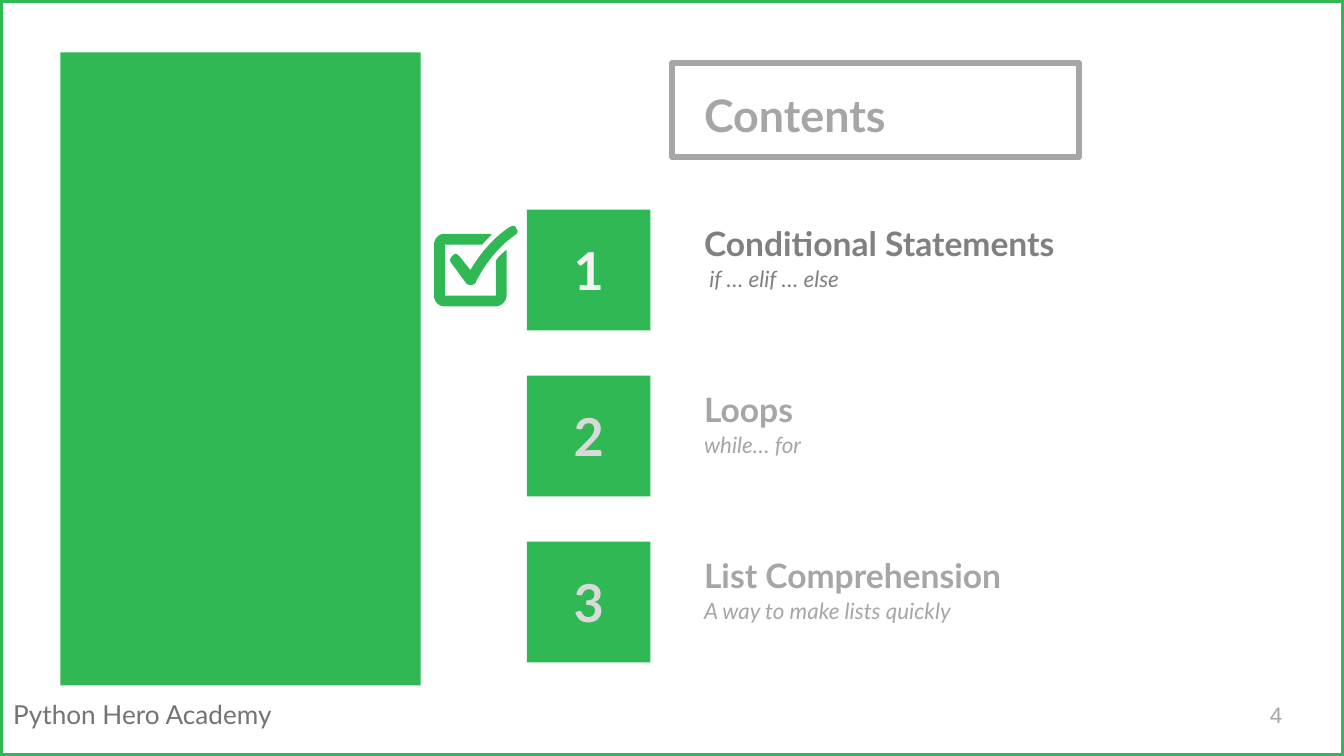
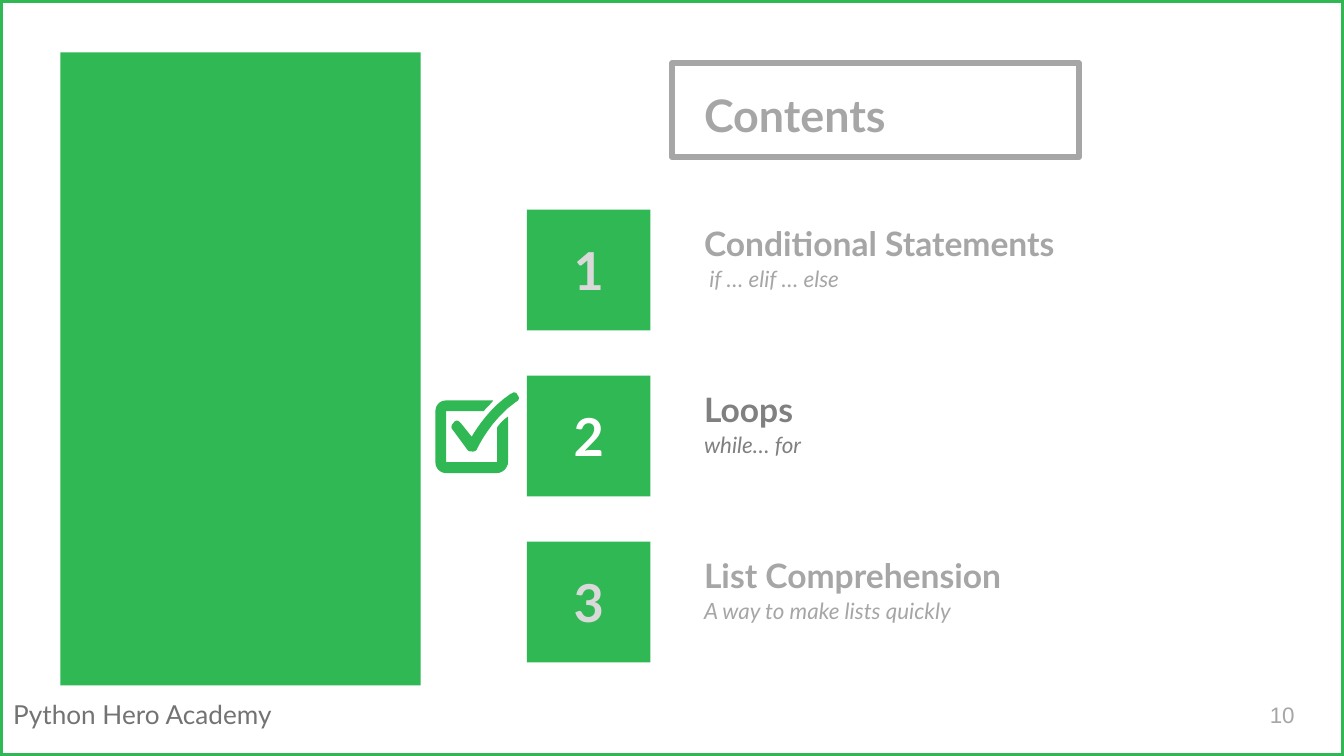
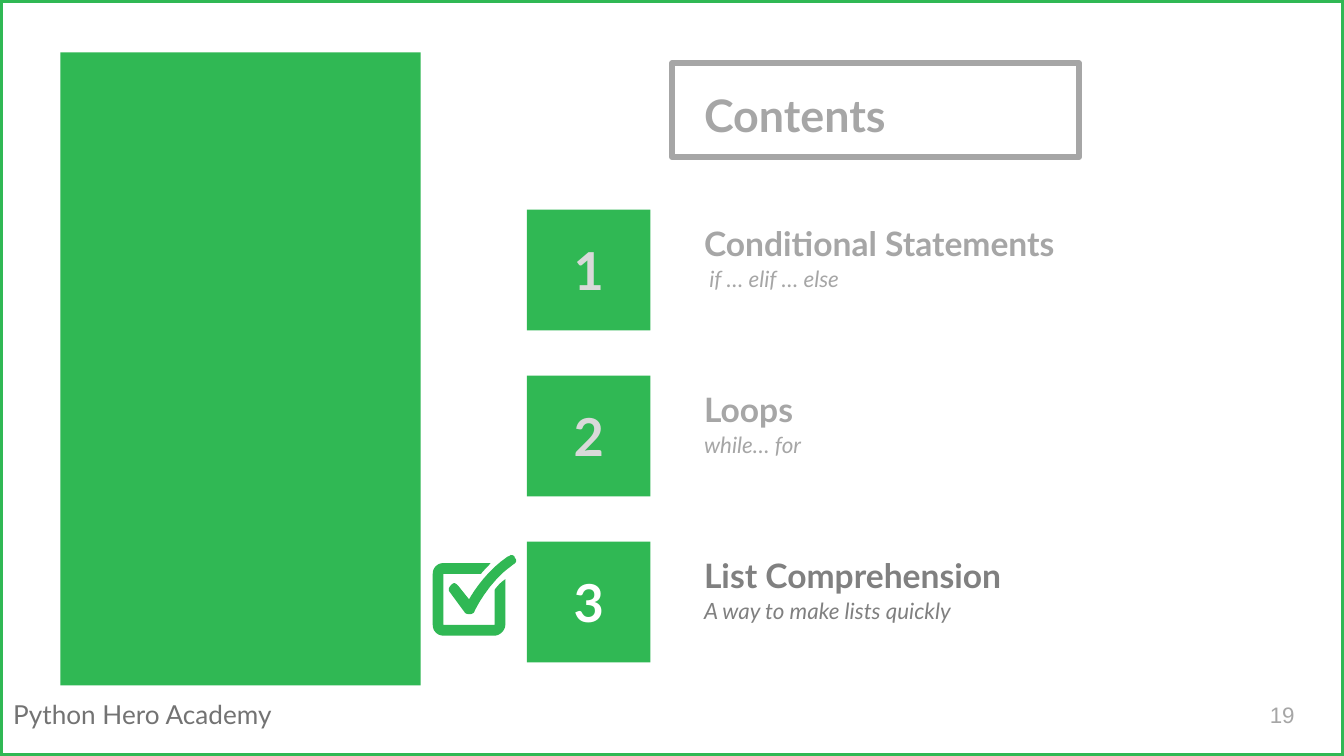
from dataclasses import dataclass, field
from typing import Any

from pptx import Presentation
from pptx.dml.color import RGBColor
from pptx.enum.shapes import MSO_SHAPE
from pptx.enum.text import MSO_ANCHOR as Anchor, MSO_AUTO_SIZE as AutoSize, PP_ALIGN as Align
from pptx.util import Inches, Pt

COLORS = {
    "green": "30B854",
    "footer": "737373",
    "muted": "A6A6A6",
    "active": "808080",
    "white": "FFFFFF",
    "soft_white": "F2F2F2",
    "dim_number": "D9D9D9",
}
SLIDE_WIDTH = 10
SLIDE_HEIGHT = SLIDE_WIDTH * 9 / 16
FIRST_ROW, LAST_ROW = 1.56, 4.03
CURVE_STEPS = 8


@dataclass(frozen=True)
class Panel:
    box: tuple[float, float, float, float]
    fill: str | None = None
    outline: str | None = None


@dataclass(frozen=True)
class Label:
    text: str
    box: tuple[float, float, float, float]
    color: str
    size: float
    font: dict[str, Any] = field(default_factory=dict)
    frame: dict[str, Any] = field(default_factory=dict)
    paragraph: dict[str, Any] = field(default_factory=dict)


@dataclass(frozen=True)
class Topic:
    heading: str
    summary: str


@dataclass(frozen=True)
class Agenda:
    page: str
    current: int
    number_color: str
    mark: tuple[float, float]


TOPICS = [
    Topic("Conditional Statements", " if … elif … else"),
    Topic("Loops", "while… for"),
    Topic("List Comprehension", "A way to make lists quickly"),
]
AGENDAS = [
    Agenda("4", 0, "soft_white", (3.23, 1.68)),
    Agenda("10", 1, "white", (3.24, 2.92)),
    Agenda("19", 2, "white", (3.22, 4.13)),
]
ROW_STEP = (LAST_ROW - FIRST_ROW) / (len(TOPICS) - 1)
ROWS = [FIRST_ROW + index * ROW_STEP for index in range(len(TOPICS))]

PANELS = [
    Panel((5, 0.47, 3.03, 0.7), outline="muted"),
    Panel((0.45, 0.39, 2.68, 4.71), fill="green"),
    *(Panel((3.92, row, 0.92, 0.9), fill="green") for row in ROWS),
    Panel((0, 0, SLIDE_WIDTH, SLIDE_HEIGHT), outline="green"),
]

PADDED = {f"margin_{side}": Inches(0.1) for side in ("left", "top", "right", "bottom")}
MIDDLE = PADDED | {"vertical_anchor": Anchor.MIDDLE}
BOTTOM = PADDED | {"vertical_anchor": Anchor.BOTTOM}
BOLD = {"bold": True}

SHARED_LABELS = [
    Label("Python Hero Academy", (0, 5.15, 2.55, 0.34), "footer", 14,
          frame={"auto_size": AutoSize.SHAPE_TO_FIT_TEXT}),
    Label("Contents", (5.14, 0.21, 5.81, 1.22), "muted", 24, BOLD, MIDDLE,
          {"line_spacing": 1.15}),
]

Step = tuple[float, ...]
TICK: list[Step] = [
    (0.58, 0),
    (0.58, 0, 0.57, 0.01, 0.56, 0.01),
    (0.41, 0.11, 0.31, 0.26, 0.27, 0.33),
    (0.19, 0.23),
    (0.18, 0.22, 0.17, 0.21, 0.16, 0.21),
    (0.15, 0.21, 0.14, 0.22, 0.14, 0.22),
    (0.12, 0.24, 0.11, 0.26, 0.13, 0.28),
    (0.24, 0.43),
    (0.25, 0.44, 0.26, 0.44, 0.28, 0.44),
    (0.29, 0.44, 0.31, 0.43, 0.31, 0.42),
    (0.31, 0.42, 0.41, 0.2, 0.6, 0.07),
    (0.62, 0.06, 0.63, 0.04, 0.61, 0.02),
    (0.61, 0.01, 0.6, 0, 0.58, 0),
]
CHECKBOX: list[Step] = [
    (0.46, 0.26),
    (0.46, 0.52),
    (0.08, 0.52),
    (0.08, 0.14),
    (0.36, 0.14),
    (0.38, 0.11, 0.41, 0.09, 0.43, 0.06),
    (0.08, 0.06),
    (0.03, 0.06, 0, 0.1, 0, 0.14),
    (0, 0.52),
    (0, 0.56, 0.03, 0.6, 0.08, 0.6),
    (0.46, 0.6),
    (0.5, 0.6, 0.54, 0.56, 0.54, 0.52),
    (0.54, 0.18),
    (0.51, 0.2, 0.48, 0.23, 0.46, 0.26),
]


def rgb(name: str) -> RGBColor:
    return RGBColor.from_string(COLORS[name])


def apply_format(target: Any, values: dict[str, Any]) -> None:
    for attribute, value in values.items():
        setattr(target, attribute, value)


def paint(shape: Any, fill: str | None, outline: str | None) -> None:
    shape.shadow.inherit = False
    for surface, color in ((shape.fill, fill), (shape.line.fill, outline)):
        if color:
            surface.solid()
            surface.fore_color.rgb = rgb(color)
        else:
            surface.background()
    if outline:
        shape.line.width = Pt(3)


def draw_panel(slide: Any, panel: Panel) -> None:
    shape = slide.shapes.add_shape(MSO_SHAPE.RECTANGLE, *map(Inches, panel.box))
    paint(shape, panel.fill, panel.outline)


def draw_label(slide: Any, label: Label) -> None:
    frame = slide.shapes.add_textbox(*map(Inches, label.box)).text_frame
    apply_format(frame, {"word_wrap": True} | label.frame)
    paragraph = frame.paragraphs[0]
    apply_format(paragraph, label.paragraph)
    run = paragraph.add_run()
    run.text = label.text
    apply_format(run.font, {"name": "Lato", "size": Pt(label.size)} | label.font)
    run.font.color.rgb = rgb(label.color)


def trace(outline: list[Step]) -> list[tuple[float, float]]:
    points = [(outline[0][0], outline[0][1])]
    for step in outline[1:]:
        if len(step) == 2:
            points.append((step[0], step[1]))
            continue
        xs, ys = ((points[-1][axis], *step[axis::2]) for axis in (0, 1))
        for index in range(1, CURVE_STEPS + 1):
            t = index / CURVE_STEPS
            weights = ((1 - t) ** 3, 3 * t * (1 - t) ** 2, 3 * t**2 * (1 - t), t**3)
            points.append((
                sum(w * x for w, x in zip(weights, xs)),
                sum(w * y for w, y in zip(weights, ys)),
            ))
    return points


def draw_check_mark(slide: Any, left: float, top: float) -> None:
    parts = []
    for outline in (TICK, CHECKBOX):
        points = [(Inches(left + x), Inches(top + y)) for x, y in trace(outline)]
        builder = slide.shapes.build_freeform(*points[0])
        builder.add_line_segments(points[1:], close=True)
        part = builder.convert_to_shape()
        paint(part, "green", None)
        parts.append(part)
    slide.shapes.add_group_shape(parts)


def topic_labels(agenda: Agenda) -> list[Label]:
    labels = []
    for index, (topic, row) in enumerate(zip(TOPICS, ROWS)):
        current = index == agenda.current
        text_color = "active" if current else "muted"
        number_color = agenda.number_color if current else "dim_number"
        labels += [
            Label(topic.heading, (5.14, row - 0.25, 5.81, 0.75), text_color, 18, BOLD, BOTTOM),
            Label(topic.summary, (5.14, row + 0.31, 3.68, 0.63), text_color, 12,
                  {"italic": True}, PADDED),
            Label(str(index + 1), (3.69, row + 0.1, 1.38, 0.7), number_color, 28, BOLD, MIDDLE,
                  {"alignment": Align.CENTER}),
        ]
    return labels


def draw_agenda(slide: Any, agenda: Agenda) -> None:
    for panel in PANELS:
        draw_panel(slide, panel)
    page_number = Label(agenda.page, (9.35, 5.1, 0.6, 0.43), "muted", 12,
                        {"name": "Arial"}, MIDDLE)
    for label in [*SHARED_LABELS, page_number, *topic_labels(agenda)]:
        draw_label(slide, label)
    draw_check_mark(slide, *agenda.mark)


def main() -> None:
    deck = Presentation()
    deck.slide_width, deck.slide_height = Inches(SLIDE_WIDTH), Inches(SLIDE_HEIGHT)
    blank_layout = deck.slide_layouts[6]
    for agenda in AGENDAS:
        draw_agenda(deck.slides.add_slide(blank_layout), agenda)
    deck.save("out.pptx")


if __name__ == "__main__":
    main()
